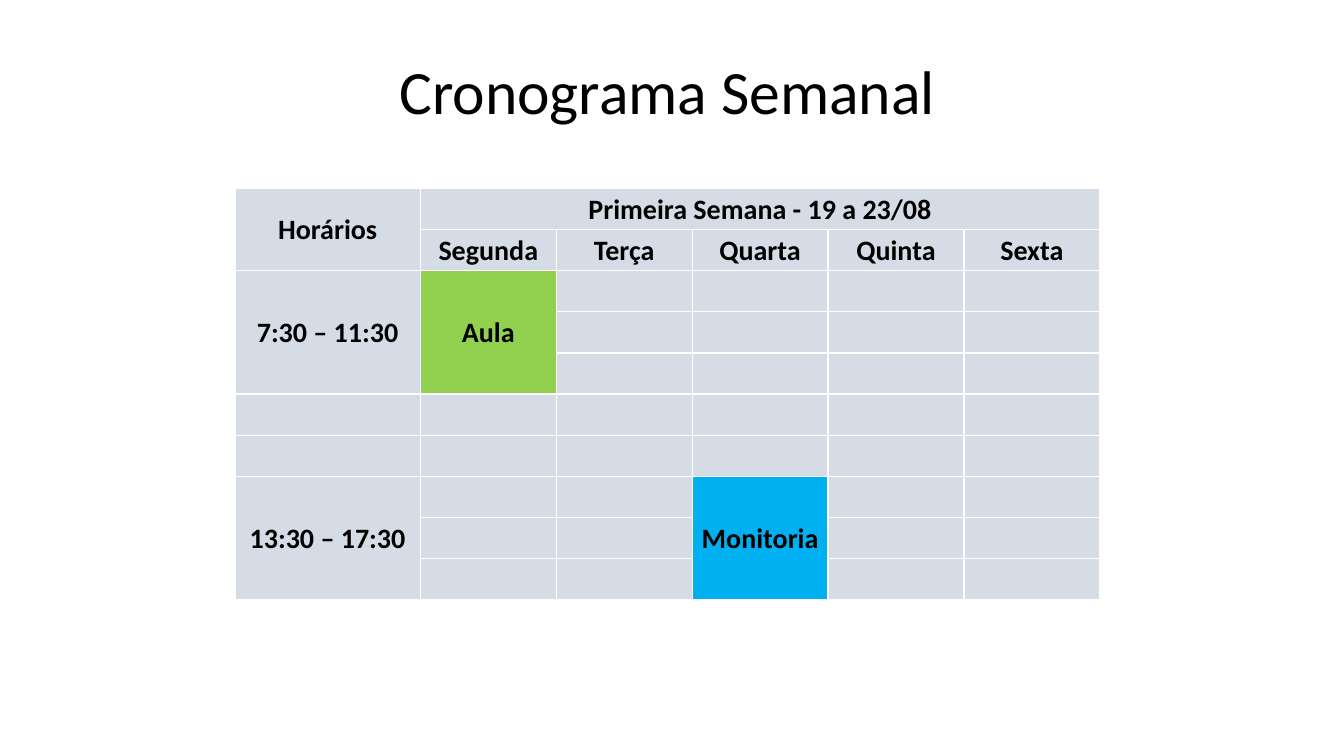
import dataclasses

import pptx
import pptx.dml.color
import pptx.enum.text
import pptx.oxml
import pptx.oxml.ns
import pptx.table
import pptx.text.text
import pptx.util

Inches = pptx.util.Inches
Pt = pptx.util.Pt
MIDDLE = pptx.enum.text.MSO_ANCHOR.MIDDLE

COLORS = {"text": "000000", "line": "FFFFFF", "cell": "D6DCE5",
          "class": "92D050", "tutor": "00B0F0"}
DAYS = ["Segunda", "Terça", "Quarta", "Quinta", "Sexta"]
ROWS = 10
LEFT, TOP, WIDTH, HEIGHT = 2.33, 1.87, 8.58, 4.08
HOURS = 1.84  # width of the first column


@dataclasses.dataclass
class Entry:
    text: str
    row: int
    col: int
    down: int = 1
    across: int = 1
    color: str = "cell"


ENTRIES = [
    Entry("Horários", 0, 0, down=2),
    Entry("Primeira Semana - 19 a 23/08", 0, 1, across=len(DAYS)),
    *[Entry(day, 1, col) for col, day in enumerate(DAYS, 1)],
    Entry("7:30 – 11:30", 2, 0, down=3),
    Entry("Aula", 2, 1, down=3, color="class"),
    Entry("13:30 – 17:30", 7, 0, down=3),
    Entry("Monitoria", 7, 3, down=3, color="tutor"),
]


def color(name: str) -> pptx.dml.color.RGBColor:
    return pptx.dml.color.RGBColor.from_string(COLORS[name])


def style(para: pptx.text.text._Paragraph, size: int, bold: bool) -> None:
    para.alignment = pptx.enum.text.PP_ALIGN.CENTER
    para.font.name = "Calibri"
    para.font.size = Pt(size)
    para.font.bold = bold
    para.font.color.rgb = color("text")


def paint(cell: pptx.table._Cell, name: str) -> None:
    cell.fill.solid()
    cell.fill.fore_color.rgb = color(name)


def border(cell: pptx.table._Cell) -> None:
    props = cell._tc.get_or_add_tcPr()
    for index, side in enumerate(("lnL", "lnR", "lnT", "lnB")):
        line = pptx.oxml.parse_xml(
            f'<a:{side} {pptx.oxml.ns.nsdecls("a")} w="{Pt(1)}"><a:solidFill>'
            f'<a:srgbClr val="{COLORS["line"]}"/></a:solidFill></a:{side}>')
        props.insert(index, line)


def format_cell(cell: pptx.table._Cell) -> None:
    cell.margin_left = cell.margin_right = cell.margin_top = Inches(0.01)
    cell.margin_bottom = 0
    cell.vertical_anchor = MIDDLE
    style(cell.text_frame.paragraphs[0], 20, True)
    paint(cell, "cell")
    border(cell)


def place(table: pptx.table.Table, entry: Entry) -> None:
    cell = table.cell(entry.row, entry.col)
    if entry.down > 1 or entry.across > 1:
        cell.merge(table.cell(entry.row + entry.down - 1,
                              entry.col + entry.across - 1))
    cell.text_frame.paragraphs[0].add_run().text = entry.text
    paint(cell, entry.color)


def main() -> None:
    deck = pptx.Presentation()
    deck.slide_width, deck.slide_height = Inches(13.33), Inches(7.5)
    slide = deck.slides.add_slide(deck.slide_layouts[6])

    # Title
    box = slide.shapes.add_textbox(Inches(0.87), Inches(0.21),
                                   Inches(11.5), Inches(1.45))
    frame = box.text_frame
    frame.word_wrap = True
    frame.vertical_anchor = MIDDLE
    title = frame.paragraphs[0]
    title.add_run().text = "Cronograma Semanal"
    title.line_spacing = 0.9
    style(title, 44, False)

    # Timetable grid
    table = slide.shapes.add_table(ROWS, len(DAYS) + 1, Inches(LEFT),
                                   Inches(TOP), Inches(WIDTH),
                                   Inches(HEIGHT)).table
    table.first_row = table.horz_banding = False
    for index, col in enumerate(table.columns):
        col.width = Inches((WIDTH - HOURS) / len(DAYS) if index else HOURS)
    for row in table.rows:
        row.height = Inches(HEIGHT / ROWS)
    for cell in table.iter_cells():
        format_cell(cell)

    # Headings and sessions
    for entry in ENTRIES:
        place(table, entry)

    deck.save("out.pptx")


if __name__ == "__main__":
    main()
